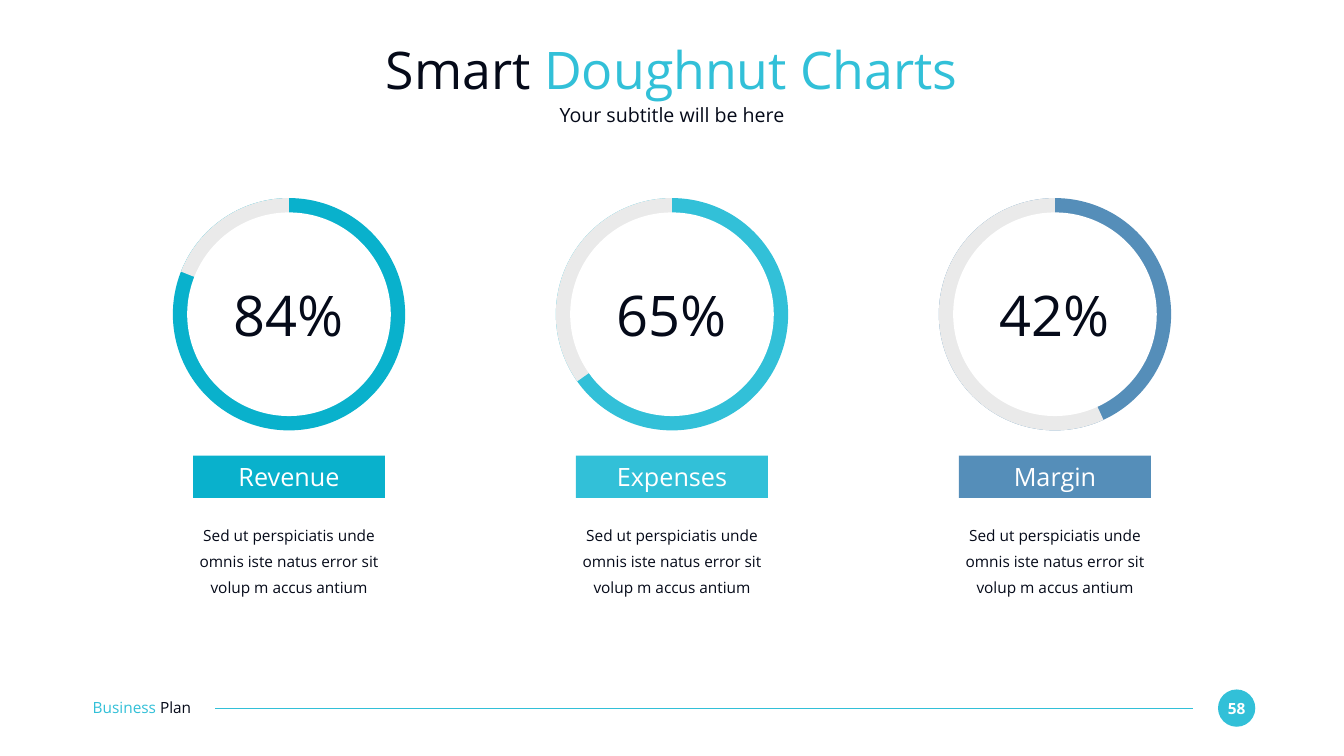
from pptx import Presentation
from pptx.dml.color import RGBColor
from pptx.enum.shapes import MSO_CONNECTOR as Connector, MSO_SHAPE as Shape
from pptx.enum.text import MSO_ANCHOR as Anchor, MSO_AUTO_SIZE as AutoSize, PP_ALIGN as Align
from pptx.oxml.ns import qn
from pptx.util import Inches, Pt
from lxml.etree import SubElement

WIDTH, HEIGHT = 26.67, 15
CENTER = WIDTH / 2
COLUMN = 7.6
RING, RING_WEIGHT, RING_MIDDLE = 4.61, 0.285, 6.235
MARGIN = 1.84
FOOTER_MIDDLE = 14.05
INK, ACCENT, TRACK, WHITE = "050A19", "32C0D8", "EAEAEA", "FFFFFF"
DESCRIPTION = "Sed ut perspiciatis unde omnis iste natus error sit volup m accus antium"
METRICS = [
    ("Revenue", "84%", 201.53, "09B1CC"),
    ("Expenses", "65%", 144.71, ACCENT),
    ("Margin", "42%", 65.34, "558EB9"),
]


def color(value):
    return RGBColor.from_string(value)


def apply_format(target, values):
    for name, value in values.items():
        setattr(target, name, value)


def centered(x, y, width, height):
    return [Inches(v) for v in (x - width / 2, y - height / 2, width, height)]


def write(holder, runs, size, align=Align.CENTER, anchor=Anchor.MIDDLE,
          fit=AutoSize.NONE, bold=False, spacing=1.0):
    frame = holder.text_frame
    apply_format(frame, {
        "margin_left": 0, "margin_right": 0, "margin_top": 0, "margin_bottom": 0,
        "word_wrap": True, "auto_size": fit, "vertical_anchor": anchor,
    })
    paragraph = frame.paragraphs[0]
    apply_format(paragraph, {"alignment": align, "line_spacing": spacing, "space_before": Pt(0)})
    for words, ink in runs:
        run = paragraph.add_run()
        run.text = words
        apply_format(run.font, {"name": "Open Sans", "size": Pt(size), "bold": bold})
        run.font.color.rgb = color(ink)
    return paragraph


def add_text(slide, box, runs, size, **options):
    write(slide.shapes.add_textbox(*box), runs, size, **options)


def add_filled(shapes, kind, box, fill):
    figure = shapes.add_shape(kind, *box)
    figure.shadow.inherit = False
    figure.fill.solid()
    figure.fill.fore_color.rgb = color(fill)
    figure.line.fill.background()
    return figure


def add_ring(slide, x, end_angle, fill):
    ring = slide.shapes.add_group_shape().shapes
    outer = centered(x, RING_MIDDLE, RING, RING)
    hole = RING - 2 * RING_WEIGHT
    add_filled(ring, Shape.OVAL, outer, fill)
    rest = add_filled(ring, Shape.PIE, outer, TRACK)
    for index, angle in enumerate((end_angle, 270)):
        rest.adjustments[index] = angle * 0.6
    add_filled(ring, Shape.OVAL, centered(x, RING_MIDDLE, hole, hole), WHITE)


def add_metric(slide, x, label, share, end_angle, fill):
    add_ring(slide, x, end_angle, fill)
    add_text(slide, centered(x, RING_MIDDLE, 2.38, 1.35), [(share, INK)], 80)
    banner = add_filled(slide.shapes, Shape.RECTANGLE, centered(x, 9.46, 3.81, 0.84), fill)
    write(banner, [(label, WHITE)], 36)
    add_text(slide, centered(x, 11.07, 4.31, 1.56), [(DESCRIPTION, INK)], 22,
             anchor=Anchor.TOP, fit=AutoSize.TEXT_TO_FIT_SHAPE, spacing=1.4)


def place(placeholder, box):
    apply_format(placeholder, dict(zip(("left", "top", "width", "height"), box)))


def add_heading(slide):
    title, subtitle = slide.placeholders
    place(title, centered(CENTER, 1.365, 23, 1.27))
    write(title, [("Smart ", INK), ("Doughnut Charts", ACCENT)], 74)
    place(subtitle, centered(CENTER, 2.275, 23, 0.49))
    line = write(subtitle, [("Your subtitle will be here", INK)], 28)
    properties = line._p.get_or_add_pPr()
    properties.set("marL", "0")
    properties.set("indent", "0")
    SubElement(properties, qn("a:buNone"))


def add_footer(slide):
    rule = slide.shapes.add_connector(
        Connector.STRAIGHT, *[Inches(v) for v in (4.27, FOOTER_MIDDLE, 23.67, FOOTER_MIDDLE)])
    rule.line.color.rgb = color(ACCENT)
    rule.line.width = Pt(1.5)
    SubElement(rule._element.spPr, qn("a:effectLst"))
    add_text(slide, [Inches(v) for v in (MARGIN, 13.84, 2.59, 0.37)],
             [("Business ", ACCENT), ("Plan", INK)], 22, align=Align.LEFT)
    badge = add_filled(slide.shapes, Shape.OVAL, centered(24.54, FOOTER_MIDDLE, 0.74, 0.74), ACCENT)
    write(badge, [("58", WHITE)], 22, bold=True)


def main():
    deck = Presentation()
    apply_format(deck, {"slide_width": Inches(WIDTH), "slide_height": Inches(HEIGHT)})
    slide = deck.slides.add_slide(deck.slide_layouts[1])
    add_heading(slide)
    for column, metric in enumerate(METRICS):
        add_metric(slide, CENTER + (column - 1) * COLUMN, *metric)
    add_footer(slide)
    deck.save("out.pptx")


if __name__ == "__main__":
    main()
